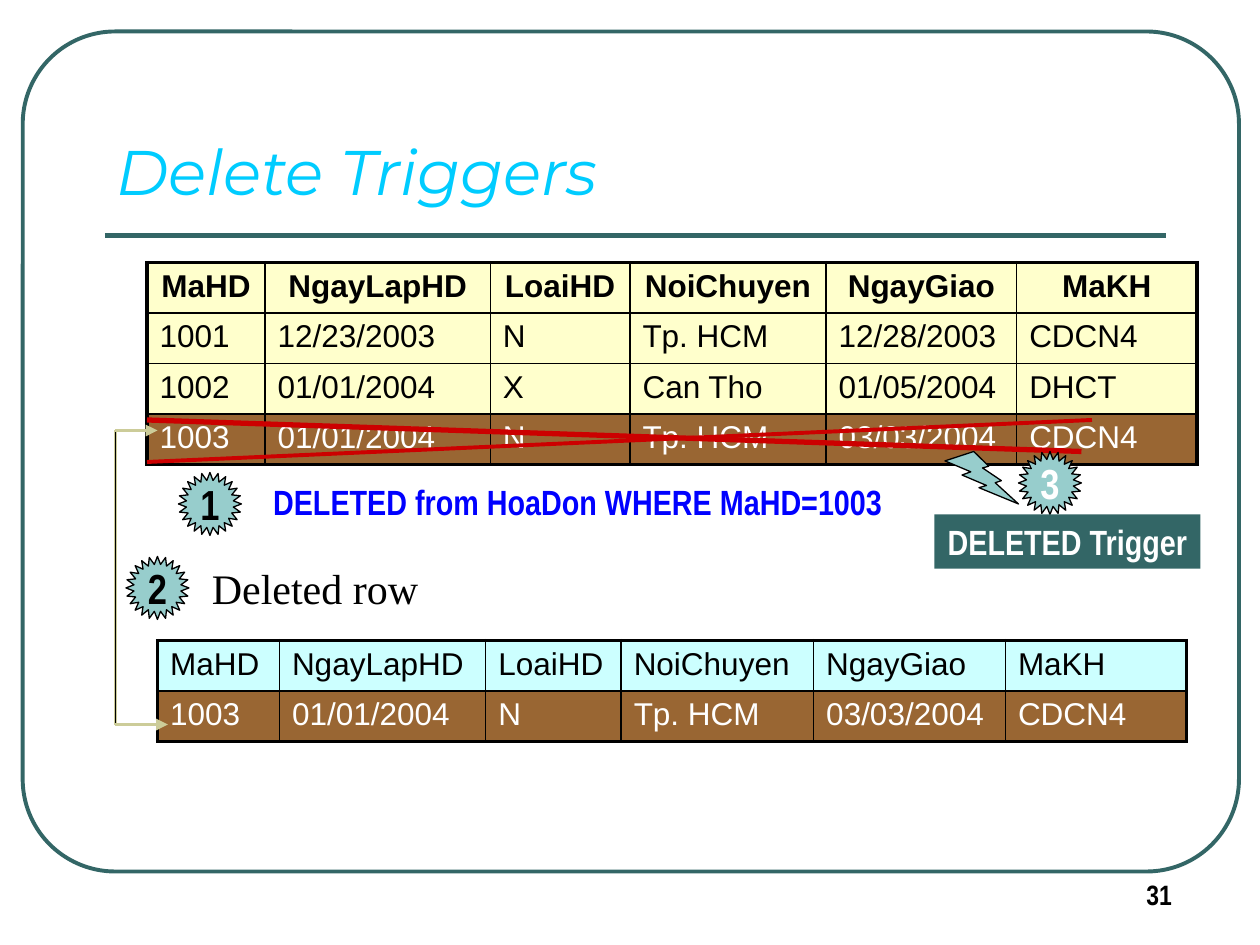
from collections import namedtuple
from dataclasses import dataclass

from lxml import etree
from pptx import Presentation
from pptx.dml.color import RGBColor
from pptx.enum import shapes, text
from pptx.oxml.ns import qn
from pptx.util import Pt

Box = namedtuple("Box", "x y w h")
Shape = shapes.MSO_SHAPE
Align = text.PP_ALIGN
Anchor = text.MSO_ANCHOR


@dataclass(frozen=True)
class Theme:
    teal: str = "336666"
    pale_teal: str = "97CDCC"
    cream: str = "FFFFCC"
    cyan: str = "CCFFFF"
    brown: str = "996633"
    khaki: str = "CCCC99"
    red: str = "CC0000"
    blue: str = "0000FF"
    sky: str = "00CCFF"
    black: str = "000000"
    white: str = "FFFFFF"
    sans: str = "Arial"
    narrow: str = "Arial Narrow"
    serif: str = "Times New Roman"
    display: str = "Montserrat"
    title: int = 36
    large: int = 24
    label: int = 20
    cell: int = 18
    number: int = 16
    thin: float = 0.75
    inner: float = 1
    outer: float = 2.25
    thick: float = 3


T = Theme()


def rgb(color):
    return RGBColor.from_string(color)


def write(tf, words, size=T.cell, font=T.sans, color=T.black, bold=False,
          italic=False, align=Align.LEFT):
    p = tf.paragraphs[0]
    p.alignment = align
    r = p.add_run()
    r.text = words
    r.font.size = Pt(size)
    r.font.name = font
    r.font.color.rgb = rgb(color)
    r.font.bold = bold
    r.font.italic = italic


def label(s, box, words, inset=True, **fmt):
    tf = s.shapes.add_textbox(*map(Pt, box)).text_frame
    tf.word_wrap = False
    if not inset:
        tf.margin_left = tf.margin_right = tf.margin_top = tf.margin_bottom = 0
    write(tf, words, **fmt)


def block(s, kind, box, fill=None, line=None, width=T.thin, adj=None):
    sp = s.shapes.add_shape(kind, *map(Pt, box))
    sp.shadow.inherit = False
    if adj is not None:
        sp.adjustments[0] = adj
    if fill:
        sp.fill.solid()
        sp.fill.fore_color.rgb = rgb(fill)
    else:
        sp.fill.background()
    if line:
        sp.line.color.rgb = rgb(line)
        sp.line.width = Pt(width)
    else:
        sp.line.fill.background()
    sp.text_frame.word_wrap = False
    return sp


def rule(s, x1, y1, x2, y2, color, width, arrow=False):
    c = s.shapes.add_connector(shapes.MSO_CONNECTOR.STRAIGHT,
                               *map(Pt, (x1, y1, x2, y2)))
    c.line.color.rgb = rgb(color)
    c.line.width = Pt(width)
    if arrow:
        etree.SubElement(c.line._get_or_add_ln(), qn("a:tailEnd"), type="triangle")
    etree.SubElement(c._element.spPr, qn("a:effectLst"))


def border(cell, edges):
    tc_pr = cell._tc.get_or_add_tcPr()
    for i, (side, width) in enumerate(edges.items()):
        ln = etree.Element(qn("a:ln" + side), w=str(Pt(width)))
        fill = etree.SubElement(ln, qn("a:solidFill"))
        etree.SubElement(fill, qn("a:srgbClr"), val=T.black)
        tc_pr.insert(i, ln)


def data_table(s, box, widths, rows, fill, bold_header):
    last_row, last_col = len(rows) - 1, len(widths) - 1
    tbl = s.shapes.add_table(len(rows), len(widths), *map(Pt, box)).table
    for col, width in zip(tbl.columns, widths):
        col.width = Pt(width)
    for i, row in enumerate(rows):
        tbl.rows[i].height = Pt(box.h / len(rows))
        deleted = i == last_row
        header = bold_header and i == 0
        for j, words in enumerate(row):
            cell = tbl.cell(i, j)
            cell.fill.solid()
            cell.fill.fore_color.rgb = rgb(T.brown if deleted else fill)
            write(cell.text_frame, words, bold=header,
                  color=T.white if deleted else T.black,
                  align=Align.CENTER if header else Align.LEFT)
            outside = {"L": j == 0, "R": j == last_col,
                       "T": i == 0, "B": i == last_row}
            border(cell, {side: T.outer if out else T.inner
                          for side, out in outside.items()})


def frame(s, box):
    block(s, Shape.ROUNDED_RECTANGLE, box, line=T.teal, width=T.outer, adj=0.11)
    y = box.y + 116.6
    rule(s, box.x + 47, y, box.x + 653, y, T.teal, T.thick)
    label(s, Box(box.x + 635, box.y + box.h, 48, 26.6), "31",
          size=T.number, font=T.narrow, bold=True)


def row_link(s, box):
    bottom = box.y + box.h
    for color, width in ((T.khaki, T.outer), (T.black, T.thin)):
        rule(s, box.x, box.y, box.x, bottom, color, width)
    rule(s, box.x, box.y, box.x + box.w - 6, box.y, T.khaki, T.outer, arrow=True)
    rule(s, box.x, bottom, box.x + box.w, bottom, T.khaki, T.outer, arrow=True)


def strike_out(s, box):
    bottom = box.y + box.h
    rule(s, box.x, box.y, box.x + box.w - 6, bottom - 6, T.red, T.thick)
    rule(s, box.x, bottom, box.x + box.w, box.y, T.red, T.outer)


def badge(s, x, y, number, color=T.black):
    sp = block(s, Shape.STAR_24_POINT, Box(x, y, 36, 36), T.pale_teal, T.black,
               adj=0.375)
    sp.text_frame.vertical_anchor = Anchor.MIDDLE
    write(sp.text_frame, number, size=T.large, font=T.narrow, color=color,
          bold=True, align=Align.CENTER)


def trigger(s, box):
    block(s, Shape.LIGHTNING_BOLT, Box(box.x + 6, box.y, 42, 30),
          T.pale_teal, T.black)
    badge(s, box.x + 48, box.y, "3", T.white)
    sp = block(s, Shape.RECTANGLE, Box(box.x, box.y + 36, box.w, box.h - 36), T.teal)
    sp.text_frame.vertical_anchor = Anchor.TOP
    write(sp.text_frame, "DELETED Trigger", size=T.label, font=T.narrow,
          color=T.white, bold=True, align=Align.CENTER)


def step(s, box, number, words, gap, drop=0, **fmt):
    badge(s, box.x, box.y, number)
    label(s, Box(box.x + gap, box.y + drop, box.w - gap, box.h - drop), words, **fmt)


def main():
    prs = Presentation()
    prs.slide_width, prs.slide_height = Pt(720), Pt(540)
    s = prs.slides.add_slide(prs.slide_layouts[6])

    header = ["MaHD", "NgayLapHD", "LoaiHD", "NoiChuyen", "NgayGiao", "MaKH"]
    deleted = ["1003", "01/01/2004", "N", "Tp. HCM", "03/03/2004", "CDCN4"]
    kept = [["1001", "12/23/2003", "N", "Tp. HCM", "12/28/2003", "CDCN4"],
            ["1002", "01/01/2004", "X", "Can Tho", "01/05/2004", "DHCT"]]

    frame(s, Box(13, 18, 695, 480))
    data_table(s, Box(84, 150, 600, 115.2), [67.5, 128.7, 79.8, 112, 109, 103],
               [header, *kept, deleted], T.cream, bold_header=True)
    data_table(s, Box(90, 366, 588, 57.6), [69.7, 117.9, 77.4, 110, 109.6, 103.4],
               [header, deleted], T.cyan, bold_header=False)
    row_link(s, Box(66, 246, 30, 168))
    strike_out(s, Box(84, 240, 540, 24))
    trigger(s, Box(534, 258, 152, 67))
    step(s, Box(72, 318, 178, 36), "2", "Deleted row", 42,
         size=T.large, font=T.serif)
    step(s, Box(102, 270, 415, 33), "1", "DELETED from HoaDon WHERE MaHD=1003", 47,
         drop=1, size=T.label, font=T.narrow, color=T.blue, bold=True)
    label(s, Box(66, 75.8, 276, 44), "Delete Triggers", inset=False, size=T.title,
          font=T.display, color=T.sky, italic=True, align=Align.CENTER)

    prs.save("out.pptx")


if __name__ == "__main__":
    main()
